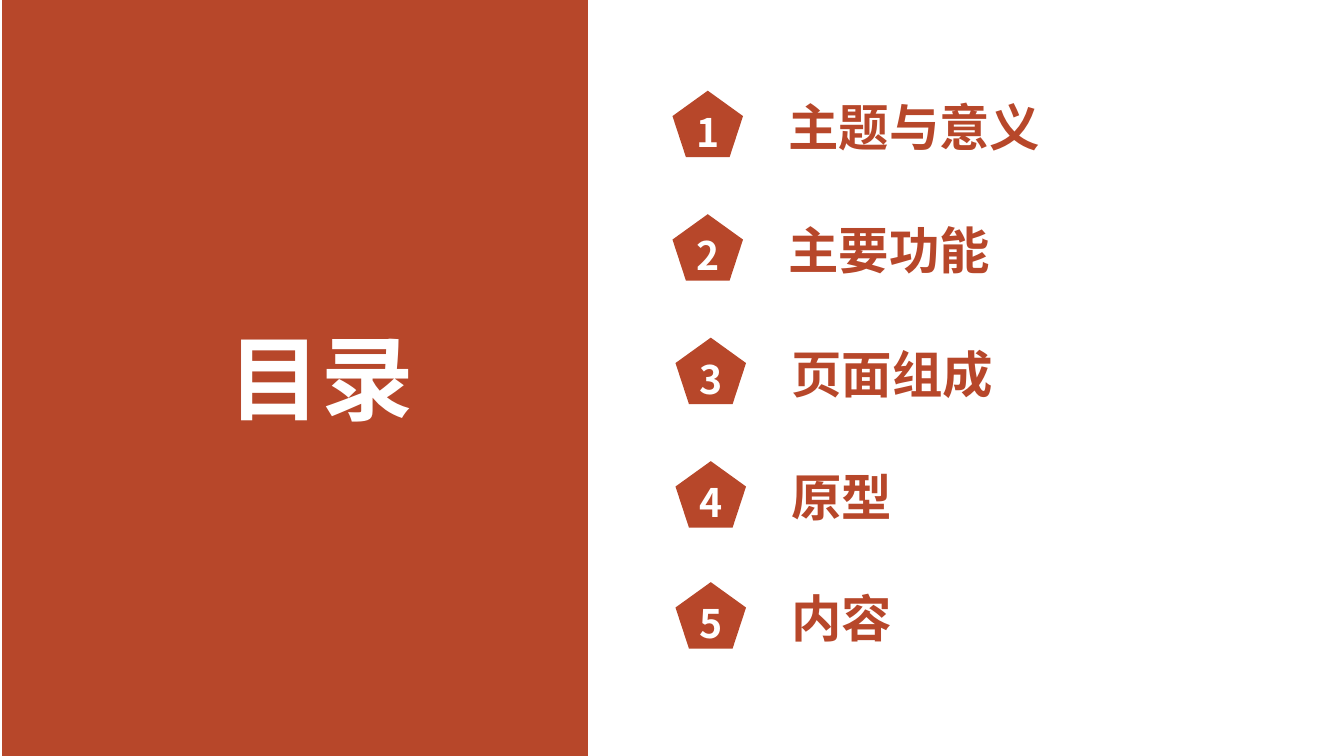
from dataclasses import dataclass

from lxml import etree
from pptx import Presentation
from pptx import util as u
from pptx.dml.color import RGBColor
from pptx.enum import shapes, text
from pptx.oxml.ns import qn

FONT = "Noto Sans CJK SC"
RUST = "B7472A"
WHITE = "FFFFFF"
TOP = 0.9
ROW = 1.225
BADGE_LEFT = 6.67
LABEL_OFFSET = 1.05
PANEL_WIDTH = 5.81


@dataclass(frozen=True)
class Box:
    left: float
    top: float
    width: float
    height: float

    def emu(self) -> tuple:
        return tuple(u.Inches(v) for v in (self.left, self.top, self.width, self.height))


@dataclass(frozen=True)
class Entry:
    label: str
    row: float
    shift: float = 0.0


ENTRIES = [
    Entry("主题与意义", 0),
    Entry("主要功能", 1),
    Entry("页面组成", 2, 0.03),
    Entry("原型", 3, 0.03),
    Entry("内容", 3.98, 0.03),
]


def color(value: str) -> RGBColor:
    return RGBColor.from_string(value)


def add_run(tf, content: str, size: int, ink: str) -> None:
    r = tf.paragraphs[0].add_run()
    r.text = content
    r.font.name = FONT
    r.font.size = u.Pt(size)
    r.font.bold = True
    r.font.color.rgb = color(ink)
    ea = etree.SubElement(r.font._element, qn("a:ea"))
    ea.set("typeface", FONT)


def add_block(s, kind, box: Box):
    sp = s.shapes.add_shape(kind, *box.emu())
    sp.shadow.inherit = False
    sp.fill.solid()
    sp.fill.fore_color.rgb = color(RUST)
    sp.line.fill.background()
    return sp


def add_label(s, box: Box, content: str, size: int, ink: str) -> None:
    tf = s.shapes.add_textbox(*box.emu()).text_frame
    tf.word_wrap = True
    tf.auto_size = text.MSO_AUTO_SIZE.SHAPE_TO_FIT_TEXT
    add_run(tf, content, size, ink)


def add_entry(s, number: int, entry: Entry) -> None:
    left = BADGE_LEFT + entry.shift
    top = TOP + ROW * entry.row
    add_label(s, Box(left + LABEL_OFFSET, top, PANEL_WIDTH, 0.71), entry.label, 36, RUST)
    sp = add_block(s, shapes.MSO_SHAPE.REGULAR_PENTAGON, Box(left, top, 0.7, 0.66))
    tf = sp.text_frame
    tf.vertical_anchor = text.MSO_ANCHOR.MIDDLE
    tf.paragraphs[0].alignment = text.PP_ALIGN.CENTER
    add_run(tf, str(number), 28, WHITE)


def main() -> None:
    prs = Presentation()
    prs.slide_width = u.Inches(13.33)
    prs.slide_height = u.Inches(7.5)
    s = prs.slides.add_slide(prs.slide_layouts[6])
    add_block(s, shapes.MSO_SHAPE.RECTANGLE, Box(0.02, 0, PANEL_WIDTH, 7.5))
    add_label(s, Box(2.17, 3.14, 2.38, 1.21), "目录", 66, WHITE)
    for number, entry in enumerate(ENTRIES, 1):
        add_entry(s, number, entry)
    prs.save("out.pptx")


if __name__ == "__main__":
    main()
